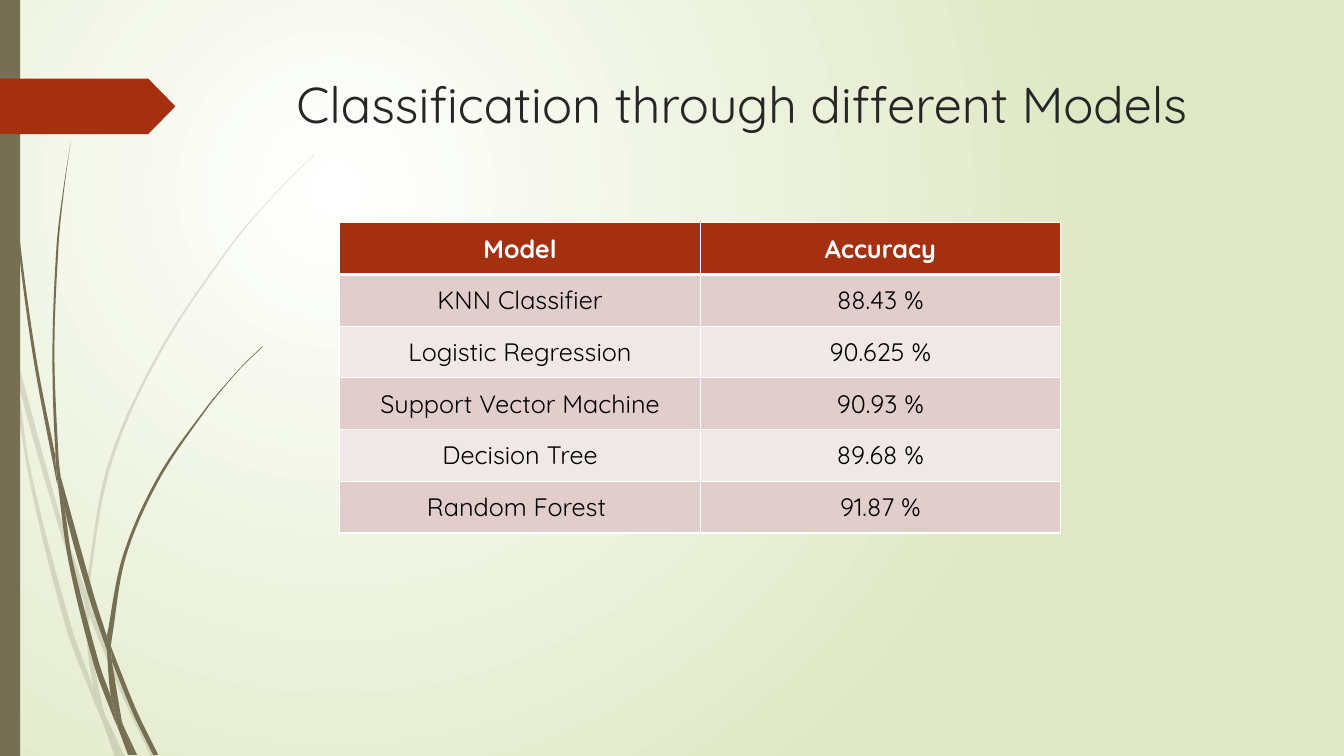
import math
import pptx
import pptx.util
import pptx.oxml
import pptx.oxml.ns
import pptx.dml.color
import pptx.enum.shapes
import pptx.enum.text
from pptx.util import Inches

TITLE = "Classification through different Models"
ROWS = [
    ("Model", "Accuracy"),
    ("KNN Classifier", "88.43 %"),
    ("Logistic Regression", "90.625 %"),
    ("Support Vector Machine", "90.93 %"),
    ("Decision Tree", "89.68 %"),
    ("Random Forest ", "91.87 %"),
]

# Pieces of grass, in inches. A piece is a ring of smooth edges with a corner
# where each edge starts; an edge runs on to the start of the next one.
PALE = [
    [[(0, 2.82), (0.09, 3.22)], [(0.11, 3.5), (0.1, 3.44)], [(0, 2.99)]],
    [[(0.14, 3.45), (0.62, 5.2)], [(0.85, 5.86)], [(0.84, 5.99), (0.58, 5.22), (0.17, 3.76)]],
    [[(0.88, 5.96), (0.92, 6.07), (1.27, 6.92)], [(1.55, 7.51)],
     [(1.5, 7.51), (1.23, 6.94)], [(0.88, 6.1)]],
    [[(1.05, 7.11)], [(1.24, 7.51)], [(1.19, 7.51)]],
    [[(0.11, 3.5), (0.17, 3.76), (0.31, 4.69), (0.7, 6.19)],
     [(0.93, 6.83), (0.99, 7.07)], [(1.01, 7.14), (0.92, 6.93), (0.65, 6.21), (0.28, 4.7)]],
    [[(0.84, 5.99), (0.88, 6.08)], [(0.88, 6.1), (0.91, 6.46), (1.03, 7.06)],
     [(1.05, 7.11), (0.96, 6.92), (0.93, 6.83), (0.87, 6.46)]],
    [[(3.12, 1.53), (2.89, 1.75), (2.68, 1.97), (2.28, 2.44), (1.58, 3.48), (1.07, 4.61),
      (0.85, 5.84)], [(0.85, 5.86)],
     [(0.88, 5.96), (0.88, 5.84), (1.1, 4.62), (1.6, 3.49), (2.29, 2.45), (2.68, 1.98),
      (2.9, 1.75)], [(3.12, 1.54)]],
    [[(1.01, 7.14)], [(1.19, 7.51)], [(1.14, 7.51)]],
    [[(0.85, 5.86)], [(0.88, 5.96)], [(0.88, 6.1)], [(0.88, 6.08)], [(0.84, 5.99)]],
    [[(0.93, 6.83), (0.96, 6.92), (1.05, 7.11)], [(1.19, 7.51), (1.01, 7.14), (0.99, 7.07)]],
]
DARK = [
    [[(0.04, 0), (0.05, 0.48), (0.08, 1.09), (0.19, 2.32), (0.36, 3.55)],
     [(0.55, 4.53), (0.55, 4.57)],
     [(0.57, 4.81), (0.56, 4.77), (0.33, 3.55), (0.17, 2.33), (0.07, 1.1), (0.04, 0.48)],
     [(0.03, 0)]],
    [[(0.6, 4.72), (0.93, 5.9)], [(1.06, 6.31), (1.06, 6.33)],
     [(1.06, 6.45), (0.88, 5.92), (0.64, 5.05)]],
    [[(1.1, 6.41), (1.13, 6.49), (1.36, 7.06)], [(1.57, 7.49)],
     [(1.52, 7.49), (1.32, 7.08)], [(1.11, 6.56)]],
    [[(0.57, 4.77), (0.64, 5.05), (0.72, 5.56), (0.98, 6.57)], [(1.1, 6.91), (1.16, 7.17)],
     [(1.17, 7.22), (1.11, 7.08), (0.93, 6.59), (0.68, 5.57)]],
    [[(0.7, 1.41), (0.62, 1.93), (0.56, 2.45), (0.52, 3.49), (0.55, 4.49)],
     [(0.6, 4.72), (0.58, 4.53), (0.54, 3.49), (0.58, 2.45), (0.63, 1.93)]],
    [[(1.22, 7.19)], [(1.36, 7.49)], [(1.33, 7.49)]],
    [[(0.55, 4.49)], [(0.6, 4.72)], [(0.64, 5.05), (0.57, 4.77), (0.55, 4.53)]],
    [[(2.6, 3.44), (2.45, 3.58), (2.31, 3.73), (2.04, 4.05), (1.56, 4.74), (1.22, 5.51)],
     [(1.06, 6.31)],
     [(1.1, 6.41), (1.11, 6.33), (1.25, 5.52), (1.58, 4.76), (2.05, 4.06), (2.31, 3.74),
      (2.45, 3.59)], [(2.61, 3.44)]],
    [[(1.17, 7.22)], [(1.31, 7.49)], [(1.27, 7.49)]],
    [[(1.06, 6.45), (1.09, 6.51)], [(1.11, 6.56), (1.21, 7.16)],
     [(1.22, 7.19), (1.16, 7.06), (1.1, 6.91)]],
    [[(1.06, 6.31)], [(1.1, 6.41)], [(1.11, 6.56), (1.09, 6.51)], [(1.06, 6.45)]],
    [[(1.1, 6.91), (1.16, 7.06), (1.22, 7.19)], [(1.33, 7.49)],
     [(1.3, 7.49), (1.17, 7.22), (1.16, 7.17)]],
]


class Theme:
    font = "Quicksand"
    big, body = 36, 18
    white, black, ink = "FFFFFF", "000000", "262626"
    sage, olive, rust = "DFE8C4", "766F54", "A53010"
    bands = ("F0E8E7", "E1CDCC")


def rgb(code):
    return pptx.dml.color.RGBColor.from_string(code)


def xml(text):
    head, tail = text.split(" ", 1)
    return pptx.oxml.parse_xml(f'{head} {pptx.oxml.ns.nsdecls("a")} {tail}')


def find(shape, tag):
    return shape.element.findall(".//" + pptx.oxml.ns.qn(tag))


def paint(shape, code):
    shape.shadow.inherit = False
    shape.fill.solid()
    shape.fill.fore_color.rgb = rgb(code)
    shape.line.fill.background()


def write(frame, text, size, code, bold=False):
    run = frame.paragraphs[0].add_run()
    run.text = text
    font = run.font
    font.name, font.size, font.bold = Theme.font, pptx.util.Pt(size), bold
    font.color.rgb = rgb(code)


def curves(ring):
    """Yield two handles and an end for each step round a ring of edges."""
    for edge, after in zip(ring, ring[1:] + ring[:1]):
        knots = edge + after[:1]
        ends = [knots[0], *knots, knots[-1]]
        for a, b, c, d in zip(ends, ends[1:], ends[2:], ends[3:]):
            reach = math.dist(b, c) / 3
            go, come = math.dist(a, c), math.dist(b, d)
            yield ([q + (r - p) * reach / go for p, q, r in zip(a, b, c)],
                   [r - (s - q) * reach / come for q, r, s in zip(b, c, d)], c)


def blade(shapes, ring, alpha):
    steps = list(curves(ring))
    spots = [(Inches(x), Inches(y)) for *_, (x, y) in steps]
    form = shapes.build_freeform(*spots[-1], scale=1.0)
    form.add_line_segments(spots, close=True)
    shape = form.convert_to_shape()
    paint(shape, Theme.olive)
    for line, step in zip(find(shape, "a:lnTo"), steps):
        marks = "".join(f'<a:pt x="{Inches(x) - shape.left}" y="{Inches(y) - shape.top}"/>'
                        for x, y in step)
        line.getparent().replace(line, xml(f"<a:cubicBezTo >{marks}</a:cubicBezTo>"))
    if alpha < 100:
        find(shape, "a:srgbClr")[0].append(xml(f'<a:alpha val="{alpha * 1000}"/>'))


def border(cell, top, base):
    """Give a cell white edges; top and base are widths in points."""
    props = cell._tc.get_or_add_tcPr()
    for i, (side, wide) in enumerate(zip("LRTB", (1, 1, top, base))):
        props.insert(i, xml(f'<a:ln{side} w="{pptx.util.Pt(wide)}"><a:solidFill>'
                            f'<a:srgbClr val="{Theme.white}"/></a:solidFill></a:ln{side}>'))


def backdrop(slide):
    fill = slide.background.fill
    fill.gradient()
    for stop, code in zip(fill.gradient_stops, (Theme.white, Theme.sage)):
        stop.color.rgb = rgb(code)
    line = find(slide, "a:lin")[0]
    line.getparent().replace(line, xml(
        '<a:path path="circle">'
        '<a:fillToRect l="50000" t="50000" r="100000" b="100000"/></a:path>'))


def grid(shapes):
    frame = shapes.add_table(len(ROWS), len(ROWS[0]), Inches(3.37), Inches(2.21),
                             Inches(7.15), Inches(3.08))
    for r, row in enumerate(ROWS):
        head = r == 0
        for c, text in enumerate(row):
            cell = frame.table.cell(r, c)
            cell.fill.solid()
            cell.fill.fore_color.rgb = rgb(Theme.rust if head else Theme.bands[r % 2])
            border(cell, 3 if r == 1 else 1, 3 if head else 1)
            cell.vertical_anchor = pptx.enum.text.MSO_ANCHOR.MIDDLE
            cell.text_frame.paragraphs[0].alignment = pptx.enum.text.PP_ALIGN.CENTER
            write(cell.text_frame, text, Theme.body,
                  Theme.white if head else Theme.black, head)


def main():
    deck = pptx.Presentation()
    deck.slide_width, deck.slide_height = Inches(13.33), Inches(7.5)
    slide = deck.slides.add_slide(deck.slide_layouts[5])
    shapes = slide.shapes
    backdrop(slide)

    for group, alpha in ((PALE, 20), (DARK, 100)):
        for ring in group:
            blade(shapes, ring, alpha)
    kinds = pptx.enum.shapes.MSO_SHAPE
    bar = shapes.add_shape(kinds.RECTANGLE, 0, 0, Inches(0.2), deck.slide_height)
    paint(bar, Theme.olive)
    tag = shapes.add_shape(kinds.PENTAGON, 0, Inches(0.78), Inches(1.74), Inches(0.55))
    tag.adjustments[0] = 0.49
    paint(tag, Theme.rust)

    title = shapes.title
    title.left, title.top = Inches(2.84), Inches(0.68)
    title.width, title.height = Inches(9.75), Inches(1.4)
    frame = title.text_frame
    frame.word_wrap = True
    frame.vertical_anchor = pptx.enum.text.MSO_ANCHOR.TOP
    frame.paragraphs[0].alignment = pptx.enum.text.PP_ALIGN.LEFT
    write(frame, TITLE, Theme.big, Theme.ink)
    grid(shapes)
    deck.save("out.pptx")


if __name__ == "__main__":
    main()
